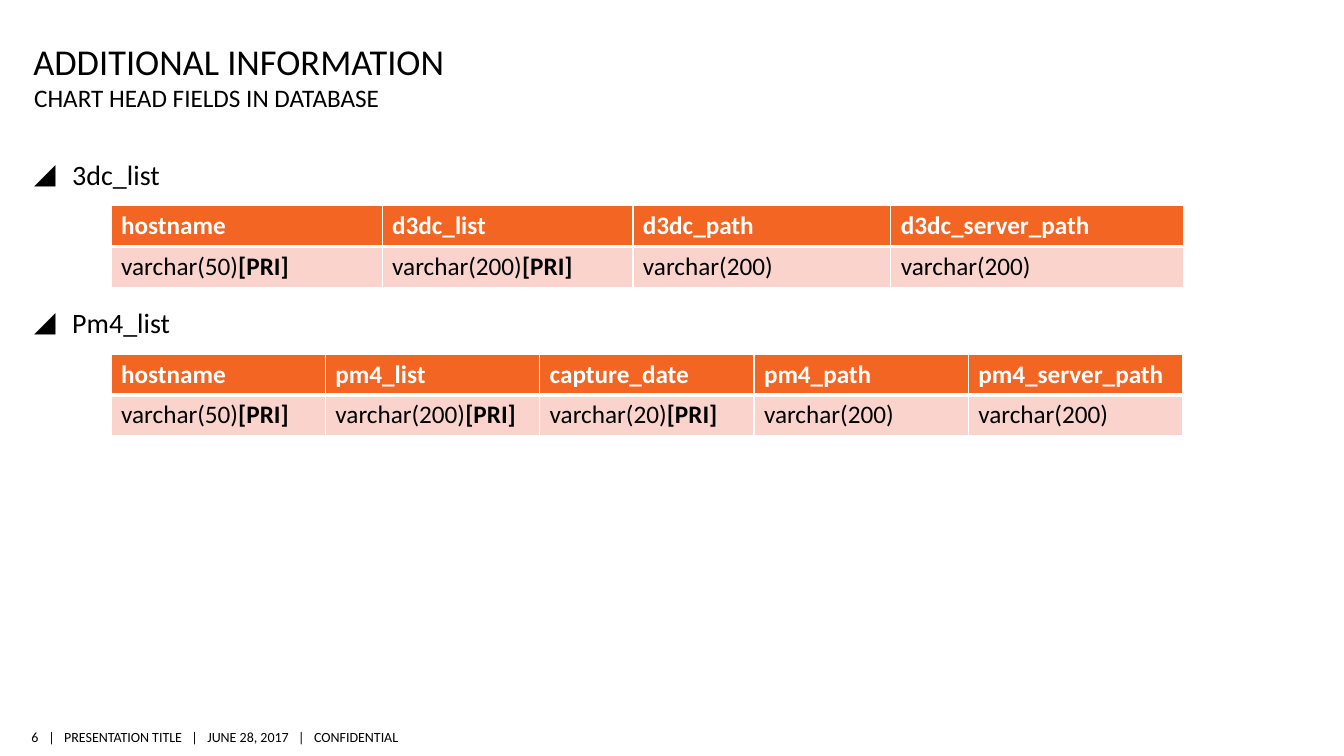
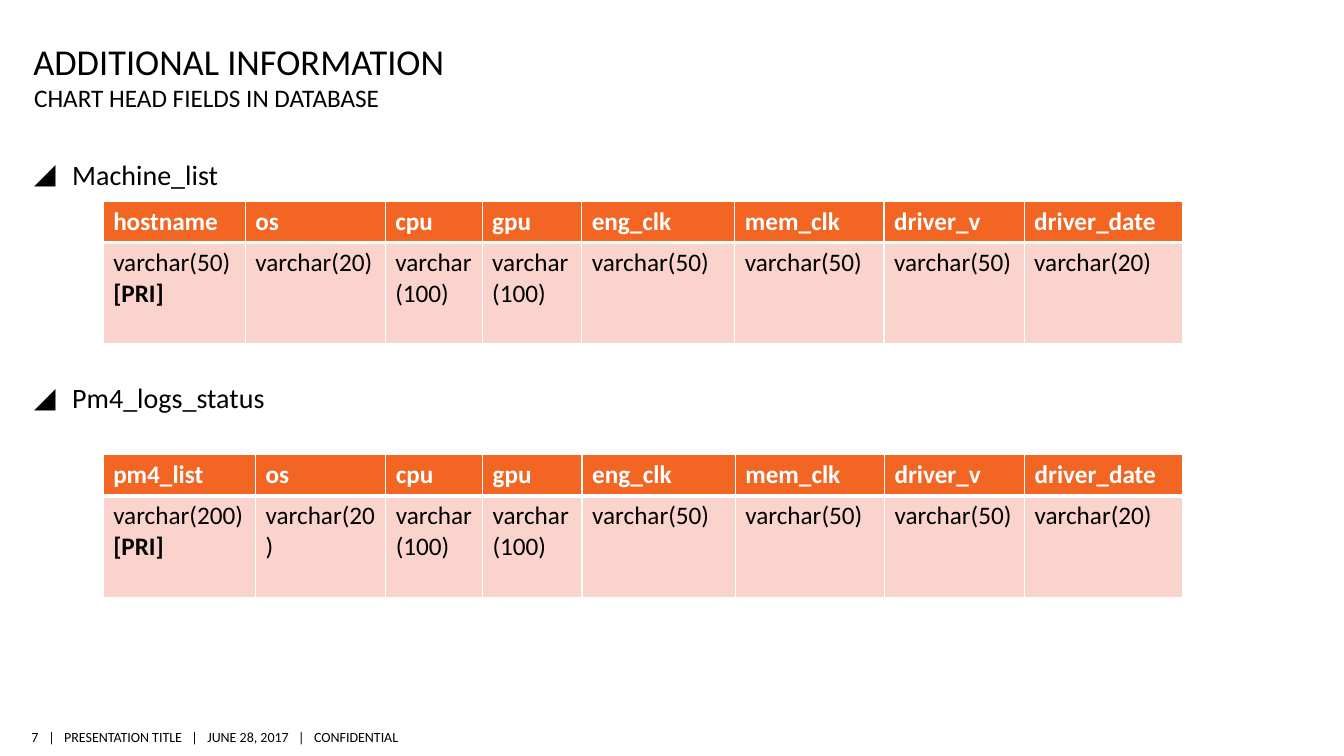
"""Build two slides that list the head fields of four database tables."""
from dataclasses import dataclass

from lxml.etree import SubElement
from pptx import Presentation
from pptx.dml.color import RGBColor
from pptx.enum.text import MSO_ANCHOR as Anchor, MSO_AUTO_SIZE as AutoSize, PP_ALIGN as Align
from pptx.oxml.ns import qn
from pptx.util import Cm, Pt

FONT = "Calibri"
BLACK, WHITE, ORANGE, PINK = "000000", "FFFFFF", "F26522", "FAD3CD"
TITLE = "ADDITIONAL INFORMATION"
SUBTITLE = "CHART HEAD FIELDS IN DATABASE"
FOOTER = "|   PRESENTATION TITLE   |   JUNE 28, 2017   |   CONFIDENTIAL"
CAPTION_LAYOUT = 7
HEADER_HEIGHT = 1.02
BULLET_INDENT = Cm(0.96)


@dataclass(frozen=True)
class Box:
    """Position and size in centimetres."""
    left: float
    top: float
    width: float
    height: float


@dataclass(frozen=True)
class Field:
    """One database column and the width of its table column."""
    name: str
    size: int
    width: float
    primary: bool = False


@dataclass(frozen=True)
class Schema:
    """One database table with its bullet and place on the slide."""
    name: str
    gap_before: float
    left: float
    top: float
    row_height: float
    fields: tuple[Field, ...]


@dataclass(frozen=True)
class Page:
    """One slide with its number and schemas."""
    number: int
    schemas: tuple[Schema, ...]


TITLE_BOX = Box(0.84, 0.76, 28.96, 1.32)
SUBTITLE_BOX = Box(0.86, 2.08, 28.96, 0.79)
LIST_BOX = Box(0.86, 3.84, 31.5, 12.95)
NUMBER_BOX = Box(0.56, 18.24, 0.41, 0.66)
FOOTER_BOX = Box(1.22, 18.24, 9.5, 0.66)

HARDWARE = (
    Field("cpu", 100, 2.44),
    Field("gpu", 100, 2.51),
    Field("eng_clk", 50, 3.86),
    Field("mem_clk", 50, 3.76),
    Field("driver_v", 50, 3.53),
    Field("driver_date", 20, 3.99),
)

PAGES = (
    Page(6, (
        Schema("3dc_list", 0, 2.8, 5.18, 1.02, (
            Field("hostname", 50, 6.83, True),
            Field("d3dc_list", 200, 6.32, True),
            Field("d3dc_path", 200, 6.5),
            Field("d3dc_server_path", 200, 7.37),
        )),
        Schema("Pm4_list", 81.5, 2.8, 8.92, 1.02, (
            Field("hostname", 50, 5.4, True),
            Field("pm4_list", 200, 5.4, True),
            Field("capture_date", 20, 5.4, True),
            Field("pm4_path", 200, 5.4),
            Field("pm4_server_path", 200, 5.4),
        )),
    )),
    Page(7, (
        Schema("Machine_list", 0, 2.6, 5.08, 2.56, (
            Field("hostname", 50, 3.58, True),
            Field("os", 20, 3.53),
            *HARDWARE,
        )),
        Schema("Pm4_logs_status", 135.5, 2.6, 11.46, 2.56, (
            Field("pm4_list", 200, 3.84, True),
            Field("os", 20, 3.28),
            *HARDWARE,
        )),
    )),
)


def rgb(value: str) -> RGBColor:
    """Turn a hex string into a colour."""
    return RGBColor.from_string(value)


def add_run(paragraph, text: str, size: float, color: str = BLACK, bold: bool = False) -> None:
    """Append one formatted run to a paragraph."""
    run = paragraph.add_run()
    run.text = text
    run.font.name, run.font.size, run.font.bold = FONT, Pt(size), bold
    run.font.color.rgb = rgb(color)


def prepare(holder, box: Box, anchor: Anchor, inset_top: float = 0):
    """Place a text shape and return its frame without side margins."""
    holder.left, holder.top = Cm(box.left), Cm(box.top)
    holder.width, holder.height = Cm(box.width), Cm(box.height)
    frame = holder.text_frame
    frame.word_wrap, frame.auto_size = True, AutoSize.NONE
    frame.vertical_anchor = anchor
    frame.margin_left = frame.margin_right = frame.margin_bottom = 0
    frame.margin_top = Cm(inset_top)
    return frame


def write_line(frame, text: str, size: float, align: Align = Align.LEFT) -> None:
    """Fill the first paragraph of a frame with one line."""
    line = frame.paragraphs[0]
    line.alignment, line.space_before = align, Pt(0)
    add_run(line, text, size)


def add_bullet(paragraph) -> None:
    """Give a paragraph the black corner bullet and a hanging indent."""
    props = paragraph._p.get_or_add_pPr()
    props.set("marL", str(BULLET_INDENT))
    props.set("indent", str(-BULLET_INDENT))
    tint = SubElement(props, qn("a:buClr"))
    SubElement(tint, qn("a:srgbClr")).set("val", BLACK)
    SubElement(props, qn("a:buFont")).set("typeface", FONT)
    SubElement(props, qn("a:buChar")).set("char", "◢")


def write_list(frame, schemas: tuple[Schema, ...]) -> None:
    """Write one bullet for each schema."""
    for index, schema in enumerate(schemas):
        bullet = frame.add_paragraph() if index else frame.paragraphs[0]
        bullet.alignment, bullet.space_before = Align.LEFT, Pt(schema.gap_before)
        add_bullet(bullet)
        add_run(bullet, schema.name, 20)


def style_cell(cell, fill: str, top: float, bottom: float) -> None:
    """Fill a cell and draw its white borders."""
    cell.fill.solid()
    cell.fill.fore_color.rgb = rgb(fill)
    props = cell._tc.get_or_add_tcPr()
    for index, (side, width) in enumerate((("L", 1), ("R", 1), ("T", top), ("B", bottom))):
        border = SubElement(props, qn(f"a:ln{side}"))
        border.set("w", str(Pt(width)))
        paint = SubElement(border, qn("a:solidFill"))
        SubElement(paint, qn("a:srgbClr")).set("val", WHITE)
        props.insert(index, border)


def add_schema(slide, schema: Schema) -> None:
    """Draw one schema as a table of field names and types."""
    width = sum(field.width for field in schema.fields)
    heights = (HEADER_HEIGHT, schema.row_height)
    grid = slide.shapes.add_table(
        len(heights), len(schema.fields), Cm(schema.left), Cm(schema.top),
        Cm(width), Cm(sum(heights))).table
    for row, height in zip(grid.rows, heights):
        row.height = Cm(height)
    for index, field in enumerate(schema.fields):
        grid.columns[index].width = Cm(field.width)
        header, kind = grid.cell(0, index), grid.cell(1, index)
        style_cell(header, ORANGE, 1, 3)
        style_cell(kind, PINK, 3, 1)
        add_run(header.text_frame.paragraphs[0], field.name, 18, WHITE, True)
        definition = kind.text_frame.paragraphs[0]
        add_run(definition, f"varchar({field.size})", 18)
        if field.primary:
            add_run(definition, "[PRI]", 18, bold=True)


def add_footer(slide, box: Box, text: str, align: Align) -> None:
    """Add one part of the footer."""
    label = slide.shapes.add_textbox(0, 0, 0, 0)
    write_line(prepare(label, box, Anchor.MIDDLE), text, 10, align)


def add_page(deck, page: Page) -> None:
    """Build one slide."""
    slide = deck.slides.add_slide(deck.slide_layouts[CAPTION_LAYOUT])
    title, bullets, subtitle = slide.placeholders
    write_line(prepare(title, TITLE_BOX, Anchor.BOTTOM, 0.13), TITLE, 26)
    write_line(prepare(subtitle, SUBTITLE_BOX, Anchor.TOP), SUBTITLE, 18)
    write_list(prepare(bullets, LIST_BOX, Anchor.TOP, 0.13), page.schemas)
    for schema in page.schemas:
        add_schema(slide, schema)
    add_footer(slide, NUMBER_BOX, str(page.number), Align.RIGHT)
    add_footer(slide, FOOTER_BOX, FOOTER, Align.LEFT)


def main() -> None:
    """Build and save the presentation."""
    deck = Presentation()
    deck.slide_width, deck.slide_height = Cm(33.87), Cm(19.05)
    for page in PAGES:
        add_page(deck, page)
    deck.save("out.pptx")


if __name__ == "__main__":
    main()
